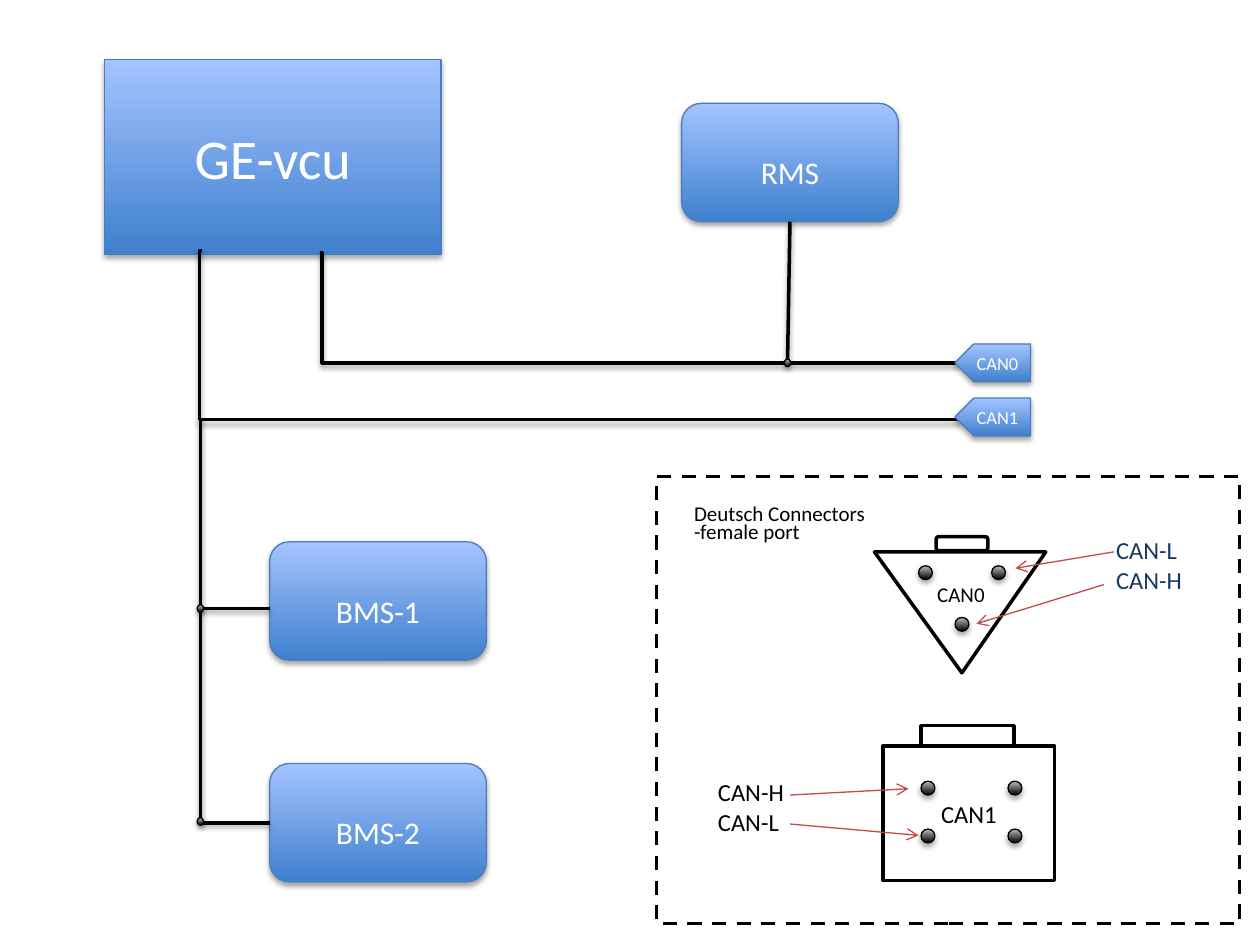
"""Draw a CAN bus wiring diagram with its connector pinouts on a 100 by 75 grid."""
from dataclasses import dataclass

import pptx
import pptx.dml.color
import pptx.enum.dml
import pptx.enum.shapes
import pptx.enum.text
import pptx.oxml
import pptx.oxml.ns
import pptx.util
from lxml import etree

SHAPE = pptx.enum.shapes.MSO_SHAPE
LINK = pptx.enum.shapes.MSO_CONNECTOR
ALIGN = pptx.enum.text.PP_ALIGN
ANCHOR = pptx.enum.text.MSO_ANCHOR
qn = pptx.oxml.ns.qn


@dataclass(frozen=True)
class Theme:
    font: str = "Calibri"
    black: str = "000000"
    white: str = "FFFFFF"
    navy: str = "17375E"
    red: str = "BF4C48"
    edge: str = "4B7EBC"
    blue: tuple = ("3F80CE", "A4C4FF")
    dark: tuple = ("000000", "BDBDBD")
    thin: float = 0.75
    thick: float = 2
    huge: float = 32
    large: float = 18
    medium: float = 14
    small: float = 12
    tiny: float = 10.5


T = Theme()
COLS = 100
UNIT_W, UNIT_H = 17.2, 9.4
TAG_W, TAG_H = 6, 3
NODE_W, NODE_H = 0.5, 0.6
PIN = 1.1
BUS_X, TAP_X, END_X = 15.9, 25.4, 76.1
BUS_Y = {"CAN0": 28.8, "CAN1": 33.3}

CONTROLLER = ("GE-vcu", 8.3, 4.7, 26.7, 15.5)
UNITS = {"BMS-1": (21.4, 43), "BMS-2": (21.4, 60.6), "RMS": (54.1, 8.2)}
TAGS = {"CAN0": (75.8, 27.3), "CAN1": (75.8, 31.6)}
ELBOWS = [(TAP_X, 20.1, BUS_Y["CAN0"], 300), (16, 19.9, BUS_Y["CAN1"], -300)]
NODES = [(62.5, BUS_Y["CAN0"]), (BUS_X, 48.3), (BUS_X, 65.2)]
SQUARE_PINS = [(x, y) for y in (62, 65.8) for x in (73.1, 80)]
TRIANGLE_PINS = [(75.8, 49), (72.9, 44.9), (78.7, 44.9)]
LABELS = [
    (("CAN-L", "CAN-H"), (87.6, 42, 9.3, 5.7), T.medium, T.navy),
    (("CAN-H", "CAN-L"), (56, 61.2, 9.3, 5.7), T.medium, T.black),
]
ARROWS = [
    (88.4, 43.8, 80.6, 45.1), (87.6, 46.4, 77.5, 49.5),
    (62.7, 63.1, 72.1, 62.6), (62.7, 65.4, 72.9, 66.3),
]

prs = pptx.Presentation()
prs.slide_width, prs.slide_height = pptx.util.Inches(10), pptx.util.Inches(7.5)
slide = prs.slides.add_slide(prs.slide_layouts[6])


def cells(*values):
    return [pptx.util.Emu(round(v * prs.slide_width / COLS)) for v in values]


def rgb(value):
    return pptx.dml.color.RGBColor.from_string(value)


def effects(sp, shadow=None):
    lst = etree.SubElement(sp._element.spPr, qn("a:effectLst"))
    if shadow:
        opacity, distance = shadow
        outer = etree.SubElement(
            lst, qn("a:outerShdw"), blurRad=str(pptx.util.Pt(3.1)),
            dist=str(pptx.util.Pt(distance)), dir="5400000", rotWithShape="0")
        color = etree.SubElement(outer, qn("a:srgbClr"), val=T.black)
        etree.SubElement(color, qn("a:alpha"), val=str(opacity * 1000))


def stroke(sp, color, width):
    sp.line.color.rgb = rgb(color)
    sp.line.width = pptx.util.Pt(width)


def write(sp, lines, size, color, align=ALIGN.CENTER, anchor=ANCHOR.MIDDLE):
    tf = sp.text_frame
    tf.word_wrap = True
    tf.vertical_anchor = anchor
    tf.text = "\n".join(lines)
    for p in tf.paragraphs:
        p.alignment = align
        p.font.name, p.font.size = T.font, pptx.util.Pt(size)
        p.font.color.rgb = rgb(color)
    return tf


def shaded(parent, kind, box, colors, edge):
    sp = parent.shapes.add_shape(kind, *cells(*box))
    sp.fill.gradient()
    sp.fill.gradient_angle = 90
    for stop, color in zip(sp.fill.gradient_stops, colors):
        stop.color.rgb = rgb(color)
    stroke(sp, edge, T.thin)
    effects(sp, (35, 1.8))
    return sp


def outline(parent, kind, box):
    sp = parent.shapes.add_shape(kind, *cells(*box))
    sp.fill.solid()
    sp.fill.fore_color.rgb = rgb(T.white)
    stroke(sp, T.black, T.thick)
    effects(sp)
    return sp


def text_box(parent, box, lines, size, color):
    sp = parent.shapes.add_textbox(*cells(*box))
    return write(sp, lines, size, color, ALIGN.LEFT, ANCHOR.TOP)


def connect(points, kind=LINK.STRAIGHT, unit=None, site=None):
    sp = slide.shapes.add_connector(kind, *cells(*points))
    if unit is not None:
        sp.begin_connect(unit, site)
    stroke(sp, T.black, T.thick)
    effects(sp, (38, 1.6))
    return sp


def add_pins(parent, pins):
    for x, y in pins:
        shaded(parent, SHAPE.OVAL, (x, y, PIN, PIN), T.dark, T.black)


name, *box = CONTROLLER
write(shaded(slide, SHAPE.RECTANGLE, box, T.blue, T.edge), [name], T.huge, T.white)

units = {}
for name, (x, y) in UNITS.items():
    sp = shaded(slide, SHAPE.ROUNDED_RECTANGLE, (x, y, UNIT_W, UNIT_H), T.blue, T.edge)
    tf = write(sp, [name], T.large, T.white, anchor=ANCHOR.TOP)
    tf.margin_top = pptx.util.Inches(0.35)
    units[name] = sp

for x, top, bus, bend in ELBOWS:
    sp = connect((x, top, END_X, bus), LINK.ELBOW)
    guides = sp._element.spPr.find(qn("a:prstGeom")).get_or_add_avLst()
    etree.SubElement(guides, qn("a:gd"), name="adj1", fmla=f"val {bend}")

connect((62.7, 17.6, 62.5, BUS_Y["CAN0"]), unit=units["RMS"], site=2)
connect((BUS_X, BUS_Y["CAN1"], BUS_X, 65.3))
connect((21.4, 48.3, BUS_X, 48.3))
connect((21.4, 65.3, BUS_X, 65.3), unit=units["BMS-2"], site=1)

for name, (x, y) in TAGS.items():
    sp = shaded(slide, SHAPE.PENTAGON, (x, y, TAG_W, TAG_H), T.blue, T.edge)
    sp._element.spPr.find(qn("a:xfrm")).set("flipH", "1")
    write(sp, [name], T.tiny, T.white).word_wrap = False

for x, y in NODES:
    box = (x - NODE_W / 2, y - NODE_H / 2, NODE_W, NODE_H)
    shaded(slide, SHAPE.OVAL, box, T.dark, T.black)

square = slide.shapes.add_group_shape()
write(outline(square, SHAPE.RECTANGLE, (70.1, 59.2, 13.6, 10.7)), ["CAN1"], T.medium, T.black)
outline(square, SHAPE.RECTANGLE, (73.1, 57.6, 7.4, 1.6))
add_pins(square, SQUARE_PINS)

triangle = slide.shapes.add_group_shape()
sp = outline(triangle, SHAPE.ISOSCELES_TRIANGLE, (69.4, 43.8, 13.6, 9.6))
sp.rotation, sp.adjustments[0] = 180, 0.49
add_pins(triangle, TRIANGLE_PINS)
outline(triangle, SHAPE.ROUNDED_RECTANGLE, (74.3, 42.6, 4.1, 1.1))
text_box(triangle, (73.4, 45.7, 7.3, 3), ["CAN0"], T.small, T.black)

for lines, box, size, color in LABELS:
    text_box(slide, box, lines, size, color)

for points in ARROWS:
    sp = slide.shapes.add_connector(LINK.STRAIGHT, *cells(*points))
    stroke(sp, T.red, T.thin)
    etree.SubElement(sp.line._get_or_add_ln(), qn("a:tailEnd"), type="arrow")
    effects(sp)

frame = slide.shapes.add_shape(SHAPE.RECTANGLE, *cells(52.1, 37.8, 46.3, 35.5))
frame.fill.background()
stroke(frame, T.black, T.thick)
frame.line.dash_style = pptx.enum.dml.MSO_LINE.DASH
effects(frame)

tf = text_box(slide, (54.1, 40.1, 17.2, 4), ["Deutsch Connectors", "-female port"], T.small, T.black)
for p, spacing in zip(tf.paragraphs, (0.5, 0.75)):
    p.line_spacing = spacing

prs.save("out.pptx")
